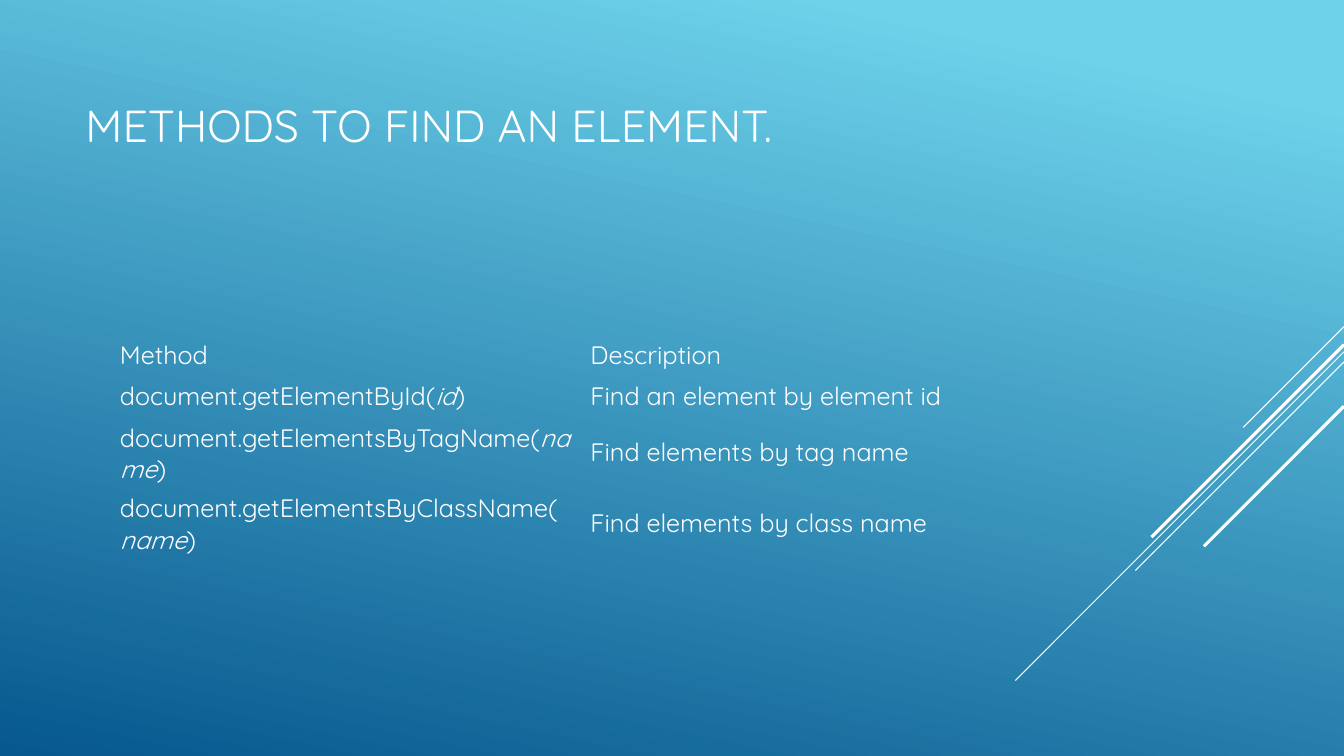
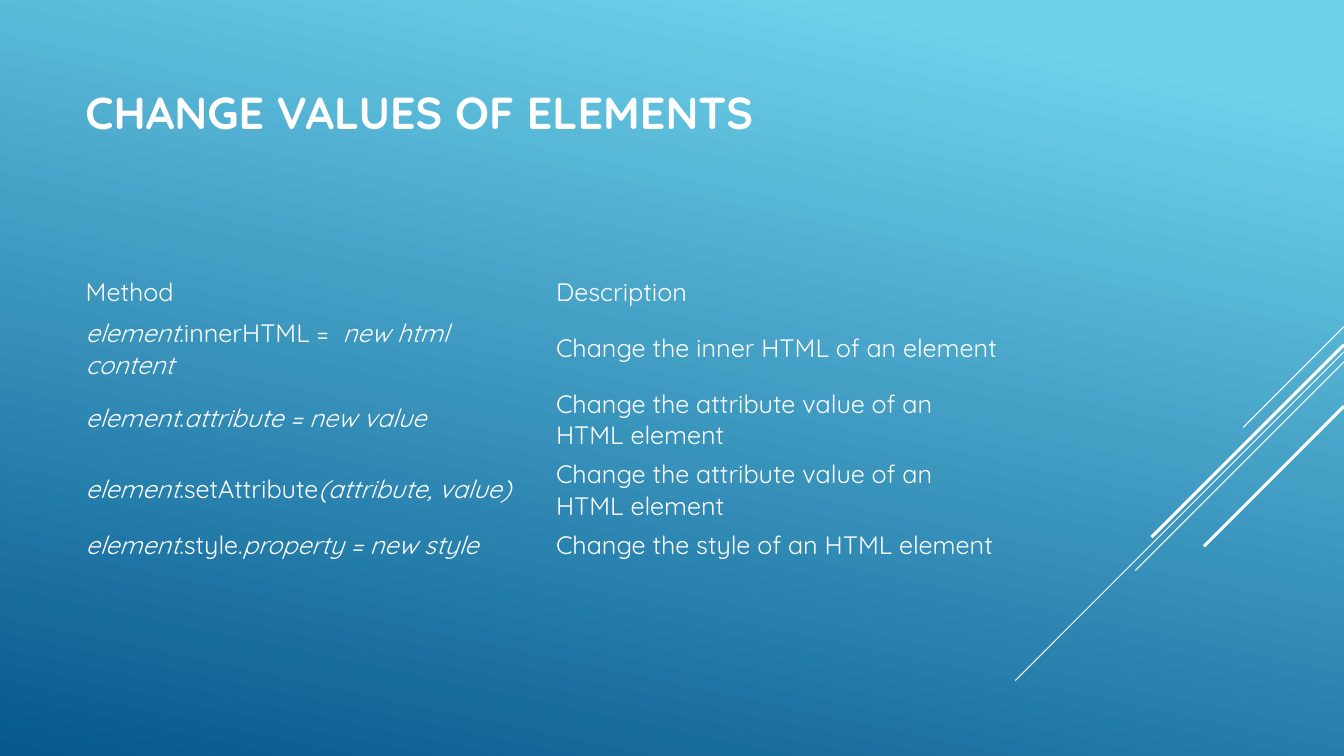
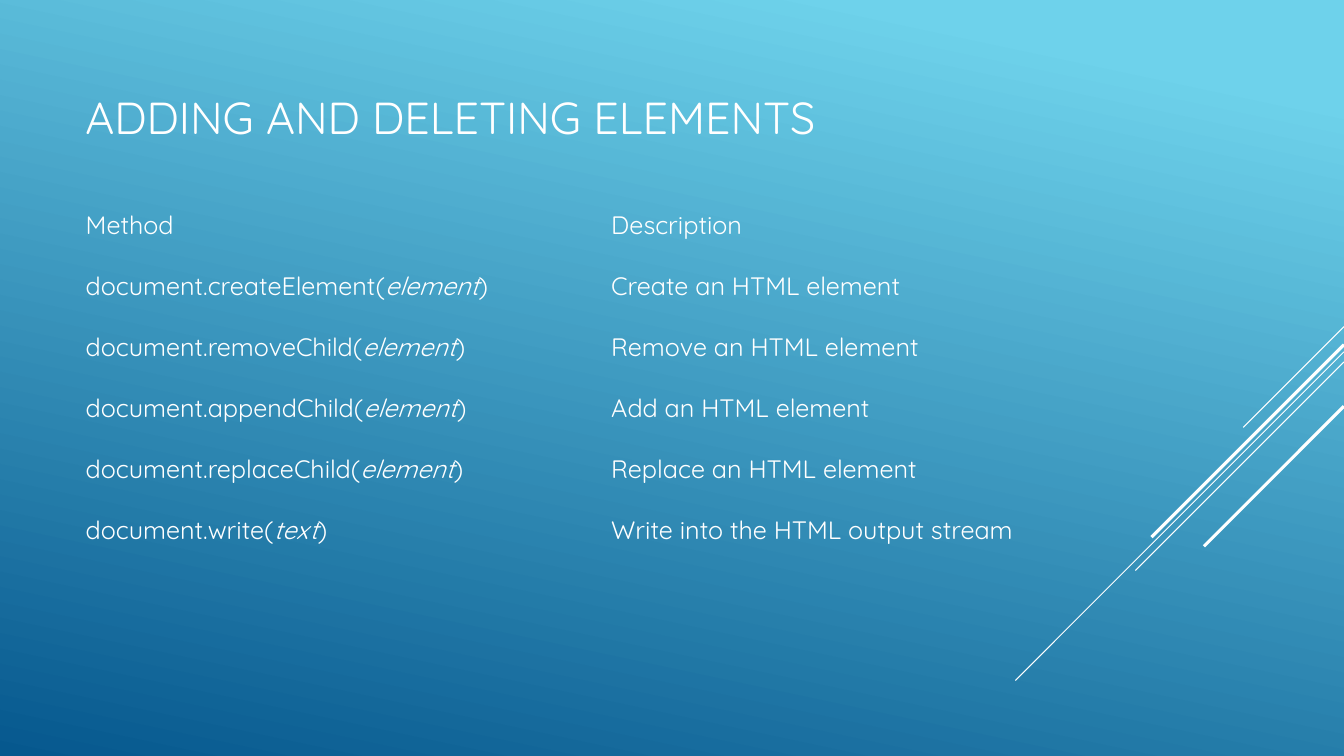
"""Build three slides on methods for working with HTML elements."""
from dataclasses import dataclass

from lxml.etree import SubElement
from pptx import Presentation
from pptx.dml.color import RGBColor
from pptx.enum.shapes import MSO_CONNECTOR as Connector
from pptx.enum.text import MSO_ANCHOR as Anchor
from pptx.oxml.ns import qn
from pptx.slide import Slide
from pptx.text.text import TextFrame
from pptx.util import Pt


@dataclass(frozen=True)
class Theme:
    font: str = "Quicksand"
    ink: RGBColor = RGBColor.from_string("FFFFFF")
    sky: RGBColor = RGBColor.from_string("6ED2EB")
    sea: RGBColor = RGBColor.from_string("06588E")
    title_size: float = 32
    body_size: float = 18
    thin: float = 0.75
    thick: float = 2.25
    width: float = 960
    height: float = 540
    margin: float = 54
    title_width: float = 792
    gradient_angle: float = 258
    plain_table: str = "{2D5ABB26-0587-4C30-8999-92F81FD0307C}"


THEME = Theme()


@dataclass(frozen=True)
class Ray:
    start: float
    reach: float
    weight: float


@dataclass(frozen=True)
class Topic:
    title: str
    title_height: float
    methods: tuple[tuple[str, str], ...]
    top: float
    left: float = THEME.margin
    column: float = 336
    row: float = 29.7
    bold: bool = False


RAYS = (
    Ray(233.3, 72, THEME.thin),
    Ray(251.3, 234.7, THEME.thin),
    Ray(258.5, 149, THEME.thin),
    Ray(246.2, 137.5, THEME.thick),
    Ray(290.2, 100, THEME.thick),
)

HEADINGS = ("Method", "Description")

TOPICS = (
    Topic(
        "METHODS TO FIND AN ELEMENT.", 70.5,
        (
            ("document.getElementById(*id*)", "Find an element by element id"),
            ("document.getElementsByTagName(*name*)", "Find elements by tag name"),
            ("document.getElementsByClassName(*name*)", "Find elements by class name"),
        ),
        top=238.5, left=78.5,
    ),
    Topic(
        "CHANGE VALUES OF ELEMENTS", 52,
        (
            ("*element*.innerHTML =  *new html content*", "Change the inner HTML of an element"),
            ("*element*.*attribute = new value*", "Change the attribute value of an HTML element"),
            ("*element*.setAttribute*(attribute, value)*", "Change the attribute value of an HTML element"),
            ("*element*.style.*property = new style*", "Change the style of an HTML element"),
        ),
        top=193.5, bold=True,
    ),
    Topic(
        "ADDING AND DELETING ELEMENTS", 59,
        (
            ("document.createElement(*element*)", "Create an HTML element"),
            ("document.removeChild(*element*)", "Remove an HTML element"),
            ("document.appendChild(*element*)", "Add an HTML element"),
            ("document.replaceChild(*element*)", "Replace an HTML element"),
            ("document.write(*text*)", "Write into the HTML output stream"),
        ),
        top=139, column=375.4, row=43.56,
    ),
)


def write(frame: TextFrame, text: str, *, size: float, bold: bool = False) -> None:
    """Write text into a frame, with the parts between asterisks in italics."""
    frame.word_wrap = True
    for index, part in enumerate(text.split("*")):
        if part:
            run = frame.paragraphs[0].add_run()
            run.text = part
            run.font.name = THEME.font
            run.font.size = Pt(size)
            run.font.bold = bold
            run.font.italic = index % 2 == 1
            run.font.color.rgb = THEME.ink


def draw_ray(slide: Slide, ray: Ray) -> None:
    """Draw a diagonal that runs down and left from the right edge."""
    diagonal = slide.shapes.add_connector(
        Connector.STRAIGHT, Pt(THEME.width), Pt(ray.start),
        Pt(THEME.width - ray.reach), Pt(ray.start + ray.reach),
    )
    diagonal.line.color.rgb = THEME.ink
    diagonal.line.width = Pt(ray.weight)
    SubElement(diagonal.element.spPr, qn("a:effectLst"))


def draw_title(slide: Slide, topic: Topic) -> None:
    """Draw the title of a topic."""
    title = slide.shapes.add_textbox(
        Pt(THEME.margin), Pt(THEME.margin), Pt(THEME.title_width), Pt(topic.title_height)
    ).text_frame
    title.vertical_anchor = Anchor.MIDDLE
    write(title, topic.title, size=THEME.title_size, bold=topic.bold)


def draw_methods(slide: Slide, topic: Topic) -> None:
    """Draw the table of methods and their descriptions."""
    entries = (HEADINGS, *topic.methods)
    holder = slide.shapes.add_table(
        len(entries), len(HEADINGS), Pt(topic.left), Pt(topic.top),
        Pt(topic.column * len(HEADINGS)), Pt(topic.row * len(entries)),
    )
    for style in holder.element.iter(qn("a:tableStyleId")):
        style.text = THEME.plain_table
    methods = holder.table
    methods.first_row = methods.horz_banding = False
    for row, entry in zip(methods.rows, entries):
        for cell, text in zip(row.cells, entry):
            cell.fill.background()
            cell.vertical_anchor = Anchor.MIDDLE
            write(cell.text_frame, text, size=THEME.body_size)


def main() -> None:
    """Build and save the presentation."""
    deck = Presentation()
    deck.slide_width, deck.slide_height = Pt(THEME.width), Pt(THEME.height)
    backdrop = deck.slide_master.background.fill
    backdrop.gradient()
    backdrop.gradient_angle = THEME.gradient_angle
    for stop, color, position in zip(
        backdrop.gradient_stops, (THEME.sky, THEME.sea), (0.1, 1)
    ):
        stop.color.rgb = color
        stop.position = position
    for topic in TOPICS:
        slide = deck.slides.add_slide(deck.slide_layouts[6])
        for ray in RAYS:
            draw_ray(slide, ray)
        draw_title(slide, topic)
        draw_methods(slide, topic)
    deck.save("out.pptx")


if __name__ == "__main__":
    main()
